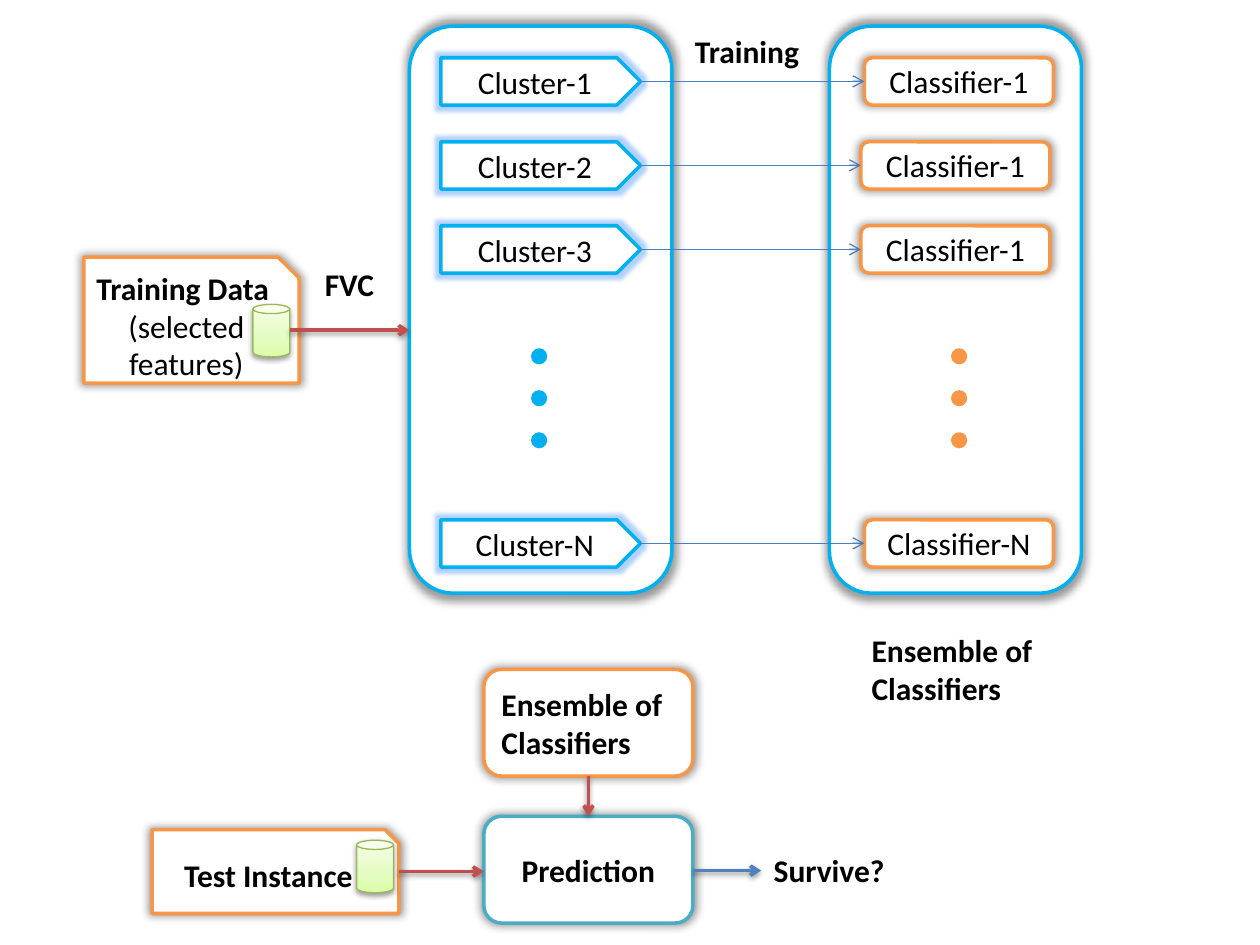
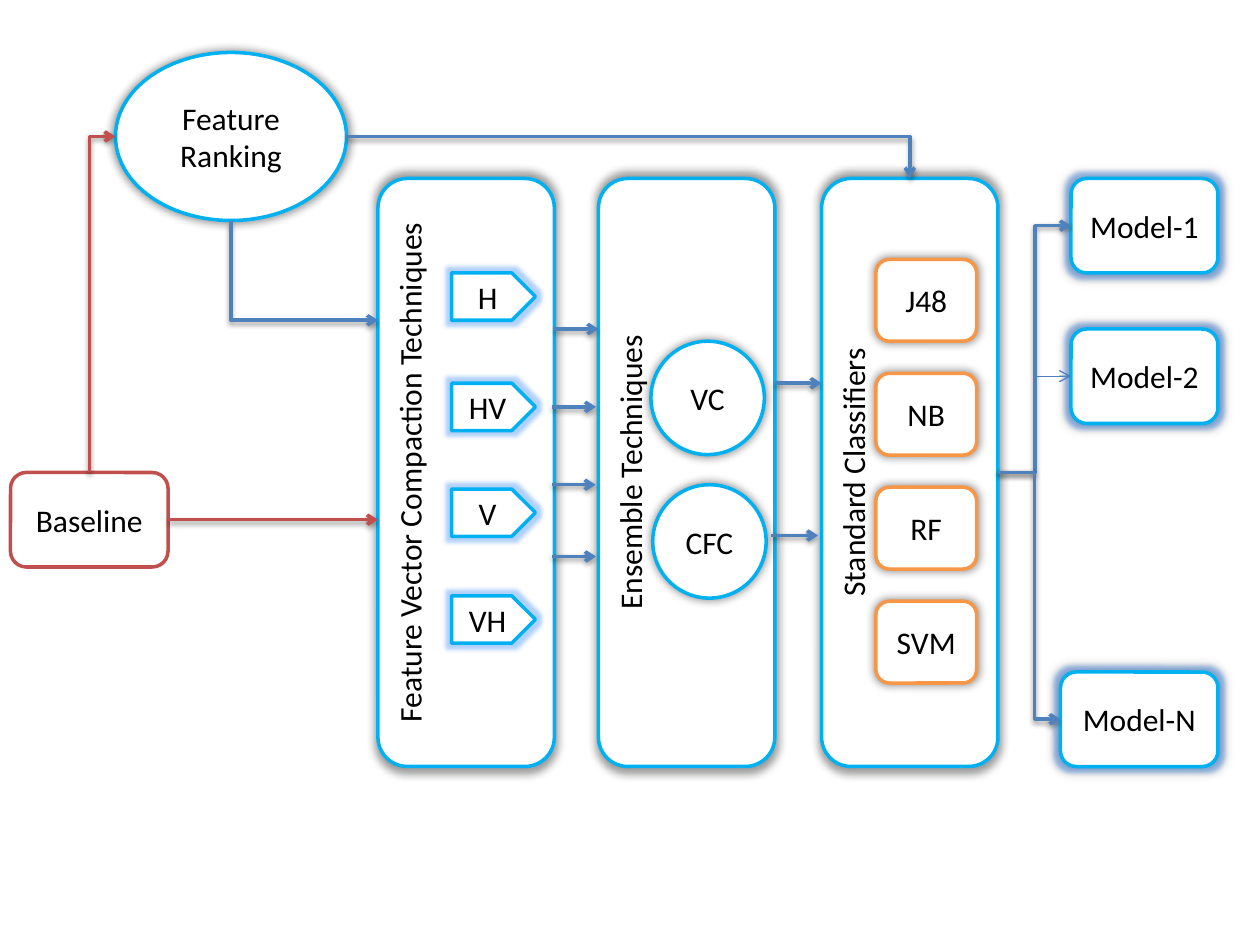
"""Two process diagrams: an ensemble training pipeline and its model framework."""
from copy import deepcopy
from dataclasses import dataclass

from lxml import etree
from pptx import Presentation
from pptx import util as u
from pptx.dml.color import RGBColor
from pptx.enum import shapes, text
from pptx.oxml import ns

Pt = u.Pt
KIND = shapes.MSO_SHAPE
MIDDLE, TOP = text.MSO_ANCHOR.MIDDLE, text.MSO_ANCHOR.TOP
LEFT, CENTER = text.PP_ALIGN.LEFT, text.PP_ALIGN.CENTER


@dataclass(frozen=True)
class Theme:
    """Colours, type and effects shared by both slides."""
    font: str = "Calibri"
    size: float = 18
    ink: str = "000000"
    paper: str = "FFFFFF"
    sky: str = "00B0F0"
    orange: str = "F79646"
    red: str = "C0504D"
    teal: str = "4BACC6"
    blue: str = "4F81BD"
    thin_blue: str = "4B7EBC"
    glow: str = "3B8BF5"
    can_line: str = "98B955"
    can_stops: tuple = ((0, "DAFDA7"), (0.35, "E4FCC2"), (1, "F5FFE7"))
    line: float = 2
    thin: float = 0.75
    # alpha %, blur, distance, direction in degrees, scale %
    halo: tuple = (40, 5, 0, 0, 102)
    drop: tuple = (38, 3.1, 1.6, 90, 100)


T = Theme()


def rgb(code):
    """Turn a hex code into a colour."""
    return RGBColor.from_string(code)


def node(parent, tag, **attributes):
    """Append a drawing element and return it."""
    values = {key: str(value) for key, value in attributes.items()}
    return etree.SubElement(parent, ns.qn("a:" + tag), values)


def add_effects(item, shadow=None, glow=False):
    """Write the effect list, empty unless a shadow or glow is wanted."""
    properties = item._element.spPr
    for old in properties.findall(ns.qn("a:effectLst")):
        properties.remove(old)
    effects = node(properties, "effectLst")
    if glow:
        halo = node(effects, "glow", rad=Pt(5))
        node(node(halo, "srgbClr", val=T.glow), "alpha", val=40000)
    if shadow:
        alpha, blur, distance, angle, scale = shadow
        outer = node(effects, "outerShdw", blurRad=Pt(blur), dist=Pt(distance),
                     dir=angle * 60000, sx=scale * 1000, sy=scale * 1000,
                     algn="ctr", rotWithShape=0)
        node(node(outer, "srgbClr", val=T.ink), "alpha", val=alpha * 1000)


def write(frame, paragraphs, align=CENTER):
    """Write paragraphs given as (text, bold) pairs, run by run."""
    for index, (words, bold) in enumerate(paragraphs):
        line = frame.paragraphs[0] if index == 0 else frame.add_paragraph()
        line.alignment = align
        run = line.add_run()
        run.text = words
        run.font.name, run.font.size, run.font.bold = T.font, Pt(T.size), bold
        run.font.color.rgb = rgb(T.ink)


def add_node(slide, kind, box, edge, paragraphs=(), shadow=T.halo, glow=False,
             fill=T.paper, align=CENTER):
    """Add one outlined shape with its label."""
    shape = slide.shapes.add_shape(kind, *map(Pt, box))
    shape.shadow.inherit = False
    shape.fill.solid()
    shape.fill.fore_color.rgb = rgb(fill)
    shape.line.color.rgb = rgb(edge)
    shape.line.width = Pt(T.line)
    add_effects(shape, shadow, glow)
    shape.text_frame.word_wrap = True
    shape.text_frame.vertical_anchor = MIDDLE
    write(shape.text_frame, paragraphs, align)
    return shape


def add_tag(slide, box, label):
    """Add a glowing pentagon tag."""
    return add_node(slide, KIND.PENTAGON, box, T.sky, [(label, False)],
                    shadow=None, glow=True)


def add_card(slide, box, label):
    """Add an orange rounded card."""
    return add_node(slide, KIND.ROUNDED_RECTANGLE, box, T.orange, [(label, False)])


def add_caption(slide, box, lines):
    """Add bold free-standing text."""
    caption = slide.shapes.add_textbox(*map(Pt, box))
    caption.text_frame.word_wrap = False
    write(caption.text_frame, [(line, True) for line in lines], LEFT)


def add_store(slide, x, y):
    """Add the green data cylinder."""
    store = add_node(slide, KIND.CAN, (x, y, 21, 30), T.can_line, shadow=T.drop)
    store.line.width = Pt(T.thin)
    store.fill.gradient()
    store.fill.gradient_angle = 90
    stops = store._element.spPr.find(".//" + ns.qn("a:gsLst"))
    stops.insert(1, deepcopy(stops[0]))
    for stop, (position, colour) in zip(store.fill.gradient_stops, T.can_stops):
        stop.position = position
        stop.color.rgb = rgb(colour)


def add_arrow(slide, start, end, colour=T.blue, thin=False,
              kind=shapes.MSO_CONNECTOR.STRAIGHT):
    """Add a connector with an open arrowhead at its end."""
    arrow = slide.shapes.add_connector(kind, *map(Pt, (*start, *end)))
    arrow.line.color.rgb = rgb(colour)
    arrow.line.width = Pt(T.thin if thin else T.line)
    node(arrow.line._get_or_add_ln(), "tailEnd", type="arrow")
    add_effects(arrow, None if thin else T.drop)
    return arrow


def add_elbow(slide, start, end, colour=T.blue, thin=False, bend=0.5):
    """Add an arrow that turns twice, at a share of its width."""
    arrow = add_arrow(slide, start, end, colour, thin, shapes.MSO_CONNECTOR.ELBOW)
    guides = arrow._element.spPr.find(".//" + ns.qn("a:avLst"))
    node(guides, "gd", name="adj1", fmla=f"val {round(bend * 100000)}")


def add_corner(slide, start, end, colour=T.blue, upright=False):
    """Add an arrow with one turn; an upright one leaves vertically."""
    (x1, y1), (x2, y2) = start, end
    if upright:
        # The preset leaves sideways, so lay its box on its side and rotate it.
        middle_x, middle_y = (x1 + x2) / 2, (y1 + y2) / 2
        half_w, half_h = abs(y2 - y1) / 2, (x2 - x1) / 2
        sign = 1 if y2 > y1 else -1
        start = middle_x + half_w, middle_y - sign * half_h
        end = middle_x - half_w, middle_y + sign * half_h
    arrow = add_arrow(slide, start, end, colour, kind=shapes.MSO_CONNECTOR.ELBOW)
    properties = arrow._element.spPr
    properties.find(ns.qn("a:prstGeom")).set("prst", "bentConnector2")
    if upright:
        degrees = 270 if y2 > y1 else 90
        properties.find(ns.qn("a:xfrm")).set("rot", str(degrees * 60000))


# Slide 1
ROWS = (18, 66, 114, 282)
ROW_H = 27


def bank(slide, box, add_item, labels, insets, item_w, dot_colour):
    """Fill a rounded panel with a column of items and an ellipsis of dots."""
    x, y, _, _ = box
    add_node(slide, KIND.ROUNDED_RECTANGLE, box, T.sky)
    for label, inset, row in zip(labels, insets, ROWS):
        add_item(slide, (x + inset, y + row, item_w, ROW_H), label)
    for step in range(3):
        add_node(slide, KIND.OVAL, (x + 70.5, y + 185 + 24 * step, 7.2, 7.2),
                 dot_colour, shadow=None, fill=dot_colour)


def training(slide, box):
    """Draw the training data, its clusters and the classifiers they train."""
    x, y, _, _ = box
    cluster_x, classifier_x = x + 186, x + 426
    insets = (20, 18, 18, 20)
    bank(slide, (cluster_x, y, 150, 324), add_tag,
         [f"Cluster-{key}" for key in "123N"], [18] * 4, 114, T.sky)
    bank(slide, (classifier_x, y, 144, 324), add_card,
         [f"Classifier-{key}" for key in "111N"], insets, 108, T.orange)
    for inset, row in zip(insets, ROWS):
        level = y + row + ROW_H / 2
        add_arrow(slide, (cluster_x + 132, level), (classifier_x + inset, level),
                  T.thin_blue, thin=True)
    add_node(slide, KIND.SNIP_1_RECTANGLE, (x, y + 132, 123, 72), T.orange,
             [("Training Data ", True), ("(selected features)", False)])
    add_store(slide, x + 96.5, y + 159)
    add_arrow(slide, (x + 117.5, y + 173.7), (cluster_x, y + 173.7), T.red)
    add_caption(slide, (x + 130.5, y + 133, 42.5, 29), ["FVC"])
    add_caption(slide, (x + 342, y, 74, 29), ["Training"])
    add_caption(slide, (x + 443, y + 342, 111, 51), ["Ensemble of ", "Classifiers"])


def prediction(slide, box):
    """Draw the test instance passing through the ensemble to a prediction."""
    x, y, _, _ = box
    stage_x, stage_w, stage_h = x + 189.5, 119.5, 61
    level, center = y + 115.5, stage_x + stage_w / 2
    add_node(slide, KIND.SNIP_1_RECTANGLE, (x, y + 91.5, 141, 48), T.orange,
             [("Test Instance ", True)])
    add_store(slide, x + 116.8, y + 97.7)
    add_node(slide, KIND.ROUNDED_RECTANGLE, (stage_x, y, stage_w, stage_h), T.orange,
             [("Ensemble of ", True), ("Classifiers", True)], align=LEFT)
    add_node(slide, KIND.ROUNDED_RECTANGLE, (stage_x, y + 84, stage_w, stage_h), T.teal,
             [("Prediction", True)])
    add_arrow(slide, (x + 141, level), (stage_x, level), T.red)
    add_arrow(slide, (center, y + stage_h), (center, y + 84), T.red)
    add_arrow(slide, (stage_x + stage_w, level - 0.5), (x + 348, level - 0.5))
    add_caption(slide, (x + 348, y + 100.5, 78.5, 29), ["Survive?"])


# Slide 2
def stage(slide, box, title):
    """Add a tall panel with its title running up the left side."""
    panel = add_node(slide, KIND.ROUNDED_RECTANGLE, box, T.sky, [(title, False)])
    frame = panel.text_frame
    frame.vertical_anchor = TOP
    frame.margin_left = frame.margin_right = Pt(2)
    frame.margin_top = frame.margin_bottom = Pt(2)
    frame._txBody.bodyPr.set("vert", "vert270")


def compaction(slide, box):
    """Draw the feature vector compaction stage."""
    x, y, _, _ = box
    stage(slide, box, "Feature Vector Compaction Techniques")
    for label, drop in zip(("H", "HV", "V", "VH"), (54, 117, 177.5, 238.5)):
        add_tag(slide, (x + 42, y + drop, 48, ROW_H), label)


def ensembles(slide, box):
    """Draw the ensemble techniques stage."""
    x, y, _, _ = box
    stage(slide, box, "Ensemble Techniques")
    for label, inset, drop in (("VC", 30, 93), ("CFC", 31, 175)):
        add_node(slide, KIND.OVAL, (x + inset, y + drop, 64.8, 64.8), T.sky,
                 [(label, False)])


def classifiers(slide, box):
    """Draw the standard classifiers stage."""
    x, y, _, _ = box
    stage(slide, box, "Standard Classifiers")
    for step, label in enumerate(("J48", "NB", "RF", "SVM")):
        add_card(slide, (x + 31, y + 46.2 + 65.1 * step, 57.6, 46.8), label)


def models(slide, box, source):
    """Draw the resulting models and the arrows that fan out to them."""
    x, y, w, _ = box
    trunk = 21
    for key, inset, drop in (("1", 6, 0), ("2", 6, 86), ("N", 0, 282)):
        add_node(slide, KIND.ROUNDED_RECTANGLE, (x + inset, y + drop, w - inset, 54),
                 T.sky, [(f"Model-{key}", False)], glow=True)
        thin = key == "2"
        add_elbow(slide, source, (x + inset, y + drop + 27),
                  T.thin_blue if thin else T.blue, thin,
                  trunk / (x + inset - source[0]))


def inputs(slide, box, stage_x, classifier_center):
    """Draw the baseline and feature ranking with the arrows leaving them."""
    x, y, _, _ = box
    add_node(slide, KIND.ROUNDED_RECTANGLE, (x, y + 240, 90, 54), T.red,
             [("Baseline", False)], shadow=None)
    add_node(slide, KIND.OVAL, (x + 60, y, 132, 96), T.sky, [("Feature Ranking", False)])
    add_corner(slide, (x + 192, y + 48), (classifier_center, y + 72))
    add_corner(slide, (x + 126, y + 96), (stage_x, y + 153), upright=True)
    add_corner(slide, (x + 45, y + 240), (x + 60, y + 48), T.red, upright=True)
    add_arrow(slide, (x + 90, y + 267), (stage_x, y + 267), T.red)


def framework(slide):
    """Lay out the three stages, their inputs and the models."""
    top, width, height = 102, 100.8, 336
    first, second, third = 216, 342, 469.5
    for draw, x in ((compaction, first), (ensembles, second), (classifiers, third)):
        draw(slide, (x, top, width, height))
    inputs(slide, (6, 30, 192, 294), first, third + width / 2)
    for x, drops in ((first, ((86, 0), (130.5, -1.4), (175, -1.6), (216, -1.4))),
                     (second, ((117, 0), (204, -2)))):
        target = second if x == first else third
        for drop, shift in drops:
            add_arrow(slide, (x + width + shift, top + drop),
                      (target + shift, top + drop))
    models(slide, (606, top, 90, height), (third + width, top + height / 2))


deck = Presentation()
deck.slide_width, deck.slide_height = Pt(720), Pt(540)
blank = deck.slide_layouts[6]

pipeline = deck.slides.add_slide(blank)
training(pipeline, (48, 15, 570, 393))
prediction(pipeline, (87, 382.5, 427, 145))

framework(deck.slides.add_slide(blank))

deck.save("out.pptx")
